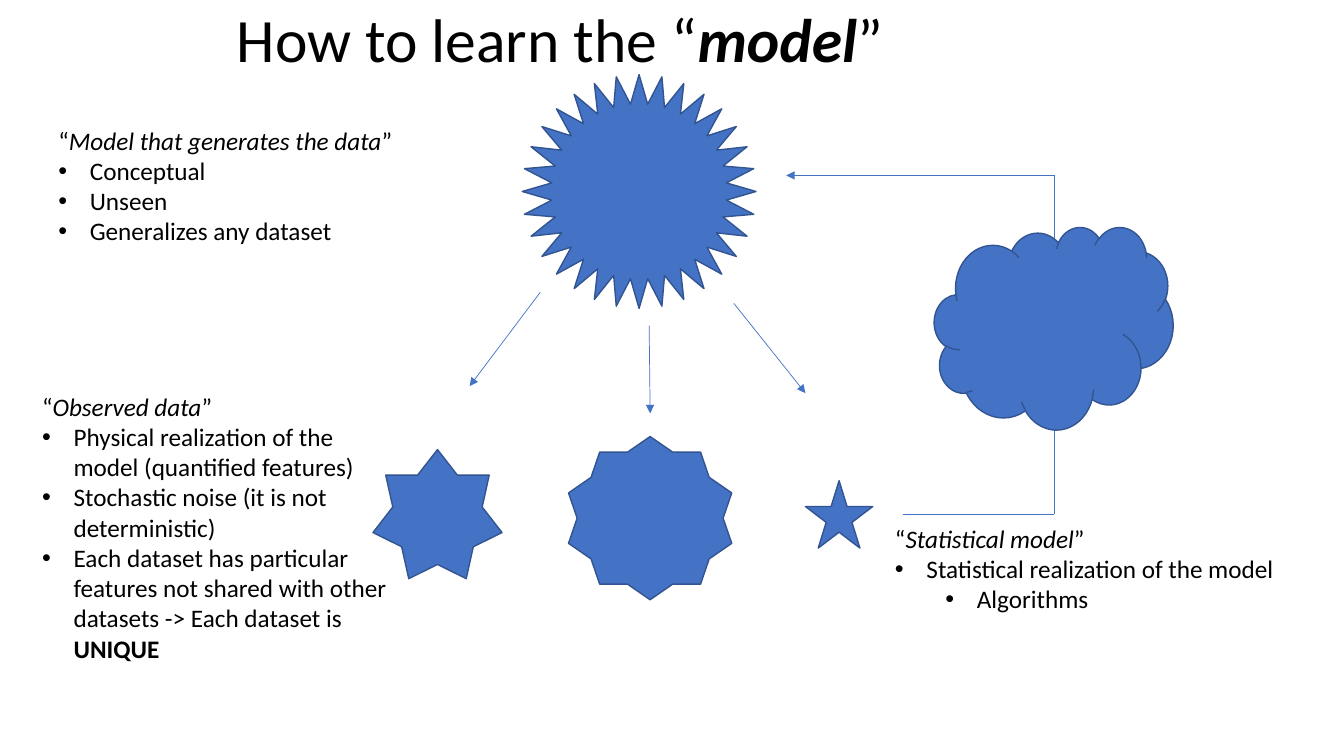
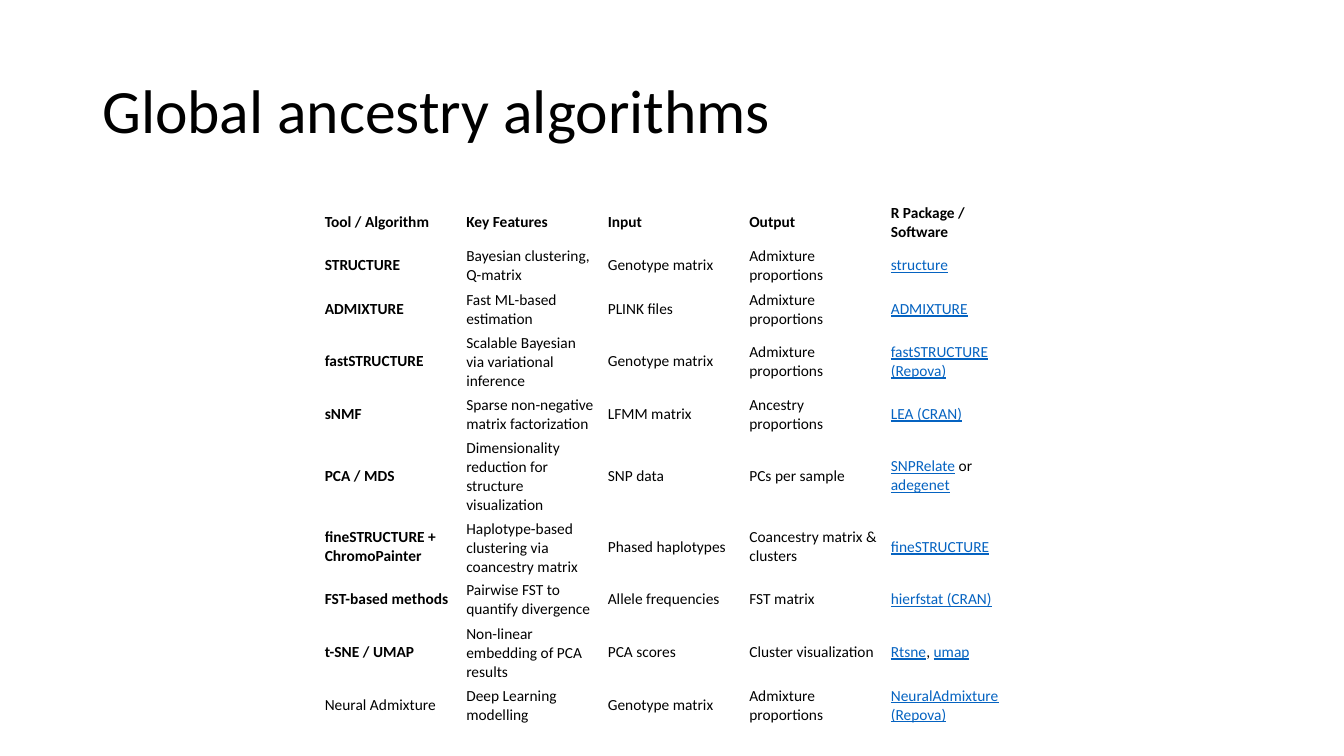
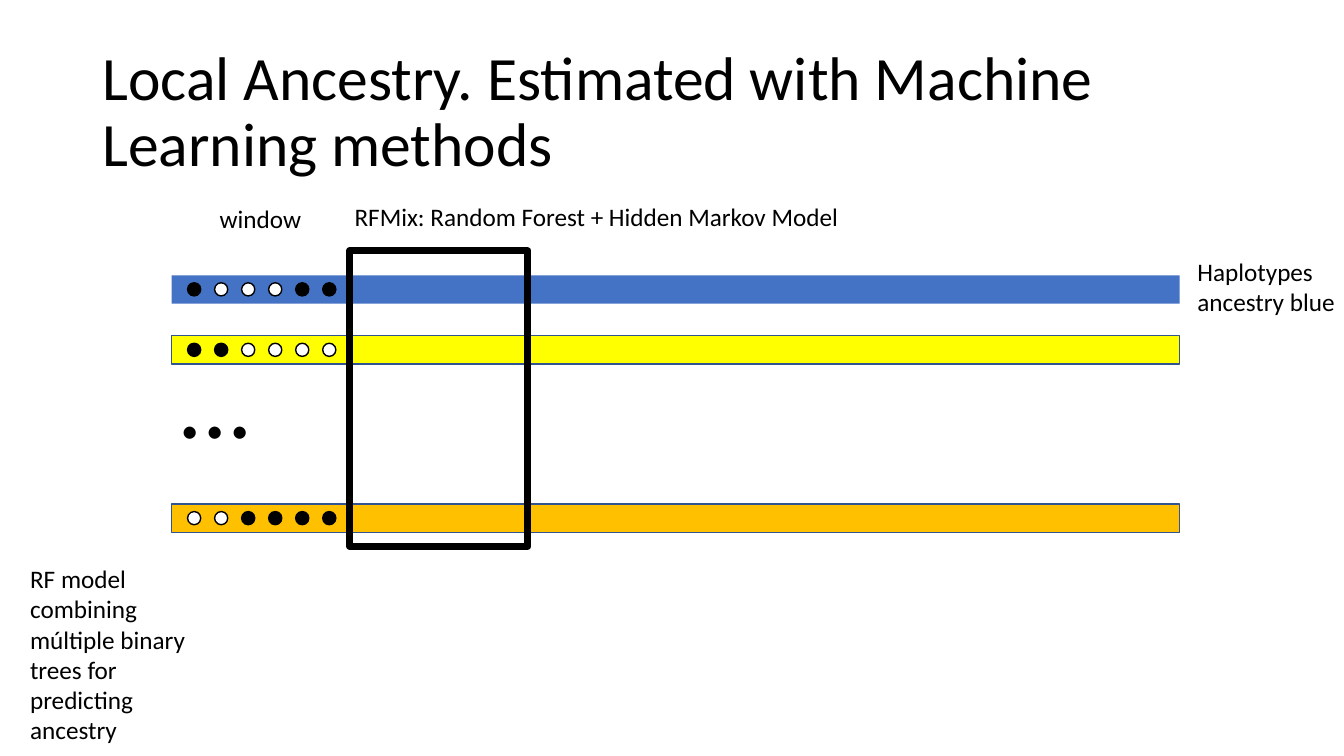
"""Three slides on learning a model and on global and local ancestry methods."""
from lxml.etree import SubElement
from pptx import Presentation
from pptx.dml.color import RGBColor
from pptx.enum.shapes import MSO_CONNECTOR as LINE, MSO_SHAPE as SHAPE
from pptx.enum.text import MSO_ANCHOR as ANCHOR
from pptx.oxml.ns import qn
from pptx.util import Pt

COLORS = {
    "text": "000000", "link": "0563C1", "blue": "4472C4", "outline": "325491",
    "yellow": "FFFF00", "orange": "FFC000", "black": "000000", "white": "FFFFFF",
}
FONT = "Calibri"
TITLE_SIZE, BODY_SIZE, TABLE_SIZE = 44, 18, 11
HANGING = 22.5


def write(frame, paragraphs, size):
    for number, (level, runs) in enumerate(paragraphs):
        paragraph = frame.paragraphs[0] if number == 0 else frame.add_paragraph()
        if size == TITLE_SIZE:
            paragraph.line_spacing = 0.9
        if level:
            properties = paragraph._p.get_or_add_pPr()
            properties.set("marL", str(Pt(HANGING + 36 * (level - 1))))
            properties.set("indent", str(-Pt(HANGING)))
            SubElement(properties, qn("a:buFont"), typeface="Arial")
            SubElement(properties, qn("a:buChar"), char="•")
        for text, style in runs:
            run = paragraph.add_run()
            run.text = text
            run.font.name = FONT
            run.font.size = Pt(size)
            run.font.bold = "b" in style
            run.font.italic = "i" in style
            run.font.underline = "l" in style
            color = COLORS["link" if "l" in style else "text"]
            run.font.color.rgb = RGBColor.from_string(color)


def draw(slide, kind, box, fill, outline="outline", width=1):
    shape = slide.shapes.add_shape(kind, *map(Pt, box))
    shape.shadow.inherit = False
    if fill:
        shape.fill.solid()
        shape.fill.fore_color.rgb = RGBColor.from_string(COLORS[fill])
    else:
        shape.fill.background()
    if outline:
        shape.line.color.rgb = RGBColor.from_string(COLORS[outline])
        shape.line.width = Pt(width)
    else:
        shape.line.fill.background()


deck = Presentation()
deck.slide_width, deck.slide_height = Pt(960), Pt(540)
model, tools, local = [deck.slides.add_slide(deck.slide_layouts[6]) for _ in range(3)]

titles = [
    (model, 162, -21.6, [("How to learn the “", ""), ("model", "bi"), ("”", "")]),
    (tools, 66, 28.8, [("Global ancestry algorithms", "")]),
    (local, 66, 28.8, [("Local Ancestry. Estimated with Machine Learning methods", "")]),
]
for slide, left, top, runs in titles:
    title = slide.shapes.add_textbox(Pt(left), Pt(top), Pt(828), Pt(104.4)).text_frame
    title.word_wrap = True
    title.vertical_anchor = ANCHOR.MIDDLE
    write(title, [(0, runs)], TITLE_SIZE)

notes = [
    (model, (34.6, 85.7, 254.9, 94.3), False, BODY_SIZE, [
        (0, [("“", ""), ("Model that generates the data", "i"), ("”", "")]),
        (1, [("Conceptual", "")]),
        (1, [("Unseen", "")]),
        (1, [("Generalizes any dataset", "")]),
    ]),
    (model, (23, 275.8, 266.4, 203.8), True, BODY_SIZE, [
        (0, [("“", ""), ("Observed data", "i"), ("”", "")]),
        (1, [("Physical realization of the model (quantified features)", "")]),
        (1, [("Stochastic noise (it is not deterministic)", "")]),
        (1, [("Each dataset has particular features not shared with other "
              "datasets -> Each dataset is ", ""), ("UNIQUE", "b")]),
    ]),
    (model, (632.2, 370.1, 321.8, 72.7), True, BODY_SIZE, [
        (0, [("“", ""), ("Statistical model", "i"), ("”", "")]),
        (1, [("Statistical realization of the model", "")]),
        (2, [("Algorithms", "")]),
    ]),
    (local, (149.8, 141.8, 73.4, 28.8), False, BODY_SIZE, [(0, [("window", "")])]),
    (local, (246.2, 140.4, 364.3, 28.8), False, BODY_SIZE,
     [(0, [("RFMix: Random Forest + Hidden Markov Model", "")])]),
    (local, (848.2, 179.3, 143.3, 51.1), True, BODY_SIZE,
     [(0, [("Haplotypes ancestry blue", "")])]),
    (local, (14.4, 398.9, 143.3, 138.2), True, BODY_SIZE,
     [(0, [("RF model combining múltiple binary trees for predicting ancestry", "")])]),
    (local, (119.5, 237.6, 69.1, 94.3), False, 72, [(0, [("...", "")])]),
]
for slide, box, wrap, size, paragraphs in notes:
    note = slide.shapes.add_textbox(*map(Pt, box)).text_frame
    note.word_wrap = wrap
    write(note, paragraphs, size)

arrows = [
    (385.9, 208.8, 335.5, 275.8, True),
    (463.7, 232.6, 464.4, 295.2, True),
    (524.2, 216.7, 575.3, 280.8, True),
    (645.1, 367.2, 753.1, 367.2, False),
    (753.1, 367.2, 753.1, 125.3, False),
    (753.1, 125.3, 561.6, 125.3, True),
]
for *ends, has_head in arrows:
    arrow = model.shapes.add_connector(LINE.STRAIGHT, *map(Pt, ends))
    arrow.line.color.rgb = RGBColor.from_string(COLORS["blue"])
    arrow.line.width = Pt(0.5)
    if has_head:
        SubElement(arrow.line._get_or_add_ln(), qn("a:tailEnd"), type="triangle")
    SubElement(arrow._element.spPr, qn("a:effectLst"))

figures = [
    (SHAPE.STAR_32_POINT, (373, 53.3, 167, 167)),
    (SHAPE.STAR_7_POINT, (266.4, 321.1, 92.2, 92.2)),
    (SHAPE.STAR_10_POINT, (406.1, 311.8, 116.6, 116.6)),
    (SHAPE.STAR_5_POINT, (575.3, 343.4, 48.2, 48.2)),
    (SHAPE.CLOUD, (667.4, 162, 170.6, 144.7)),
]
for kind, box in figures:
    draw(model, kind, box, "blue")

methods = [
    ("Tool / Algorithm", "Key Features", "Input", "Output", "R Package / Software"),
    ("STRUCTURE", "Bayesian clustering, Q-matrix", "Genotype matrix",
     "Admixture proportions", "structure"),
    ("ADMIXTURE", "Fast ML-based estimation", "PLINK files",
     "Admixture proportions", "ADMIXTURE"),
    ("fastSTRUCTURE", "Scalable Bayesian via variational inference", "Genotype matrix",
     "Admixture proportions", "fastSTRUCTURE (Repova)"),
    ("sNMF", "Sparse non-negative matrix factorization", "LFMM matrix",
     "Ancestry proportions", "LEA (CRAN)"),
    ("PCA / MDS", "Dimensionality reduction for structure visualization", "SNP data",
     "PCs per sample", "SNPRelate| or |adegenet"),
    ("fineSTRUCTURE + ChromoPainter", "Haplotype-based clustering via coancestry matrix",
     "Phased haplotypes", "Coancestry matrix & clusters", "fineSTRUCTURE"),
    ("FST-based methods", "Pairwise FST to quantify divergence", "Allele frequencies",
     "FST matrix", "hierfstat (CRAN)"),
    ("t-SNE / UMAP", "Non-linear embedding of PCA results", "PCA scores",
     "Cluster visualization", "Rtsne|, |umap"),
    ("Neural Admixture", "Deep Learning modelling", "Genotype matrix",
     "Admixture proportions", "NeuralAdmixture (Repova)"),
]
row_heights = [31, 31, 31, 44, 31, 57, 44, 31, 22, 22]
table = tools.shapes.add_table(
    len(methods), 5, Pt(227.5), Pt(143.3), Pt(505.5), Pt(sum(row_heights))).table
table.first_row = table.horz_banding = False
for column in table.columns:
    column.width = Pt(101.1)
for row, (method, height) in enumerate(zip(methods, row_heights)):
    table.rows[row].height = Pt(height)
    for column, text in enumerate(method):
        cell = table.cell(row, column)
        cell.fill.background()
        cell.vertical_anchor = ANCHOR.MIDDLE
        cell.margin_left = cell.margin_right = Pt(4.5)
        cell.margin_top = cell.margin_bottom = Pt(2.25)
        bold = row == 0 or (column == 0 and row < len(methods) - 1)
        linked = row > 0 and column == 4
        runs = [(part, "l" if linked and index % 2 == 0 else "b" if bold else "")
                for index, part in enumerate(text.split("|"))]
        write(cell.text_frame, [(0, runs)], TABLE_SIZE)

BAR_HEIGHT, DOT, DOT_STEP = 20.2, 9.4, 19.3
haplotypes = [
    (196.6, "blue", None, "100011"),
    (239.8, "yellow", "outline", "110000"),
    (360, "orange", "outline", "001111"),
]
for top, fill, outline, alleles in haplotypes:
    draw(local, SHAPE.RECTANGLE, (122.6, top, 720, BAR_HEIGHT), fill, outline)
    for site, allele in enumerate(alleles):
        box = (134 + site * DOT_STEP, top + (BAR_HEIGHT - DOT) / 2, DOT, DOT)
        draw(local, SHAPE.OVAL, box, "black" if allele == "1" else "white", "black")
draw(local, SHAPE.RECTANGLE, (249.8, 179.3, 127.4, 211), None, "black", 5)

deck.save("out.pptx")
